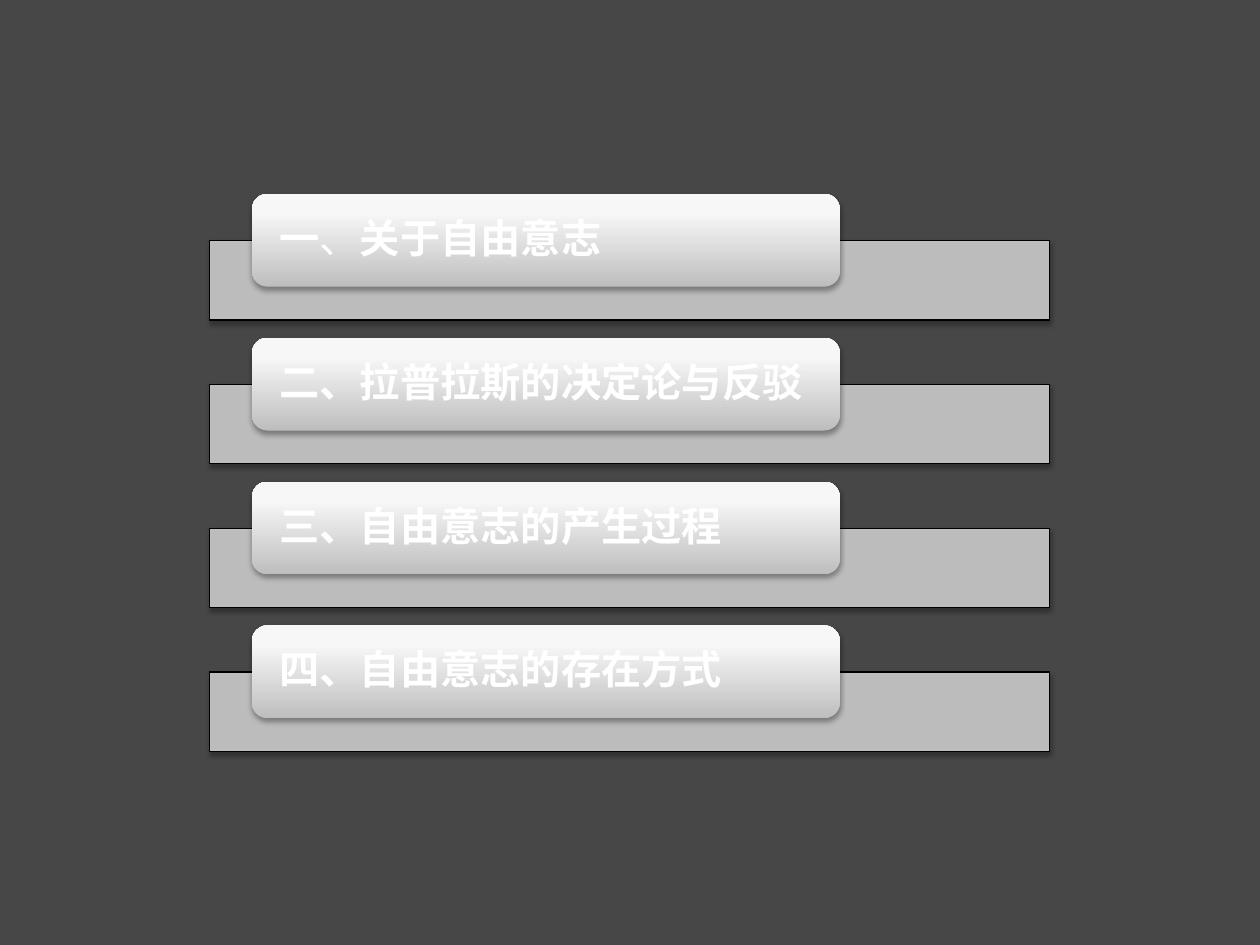
"""Build a contents slide with four stacked topic bars."""
from lxml import etree
from pptx import Presentation, util as u
from pptx.dml.color import RGBColor
from pptx.enum import shapes, text
from pptx.oxml import parse_xml
from pptx.oxml.ns import qn

TOPICS = [
    [("一", True), ("、", False), ("关于自由意志", True)],
    [("二、拉普拉斯的决定论与反驳", True)],
    [("三、自由意志的产生过程", True)],
    [("四、自由意志的存在方式", True)],
]

THEME = {
    "background": "474747",
    "bar": "CCCCCC",
    "bar_alpha": 90,
    "outline": "000000",
    "pill": [(0, "BEBEBE"), (80, "F7F7F7"), (100, "F8F8F8")],
    "shadow": "000000",
    "shadow_alpha": 35,
    "text": "FFFFFF",
    "font": "Noto Sans CJK KR",
    "size": 23,
}

STEP = 2.9
BAR = (4.23, 4.85, 16.93, 1.6)
PILL = (5.08, 3.91, 11.85, 1.87)
LABEL = (5.18, 4.0, 11.66, 1.69)
DRAWING = "http://schemas.openxmlformats.org/drawingml/2006/main"


def place(box, row):
    left, top, width, height = box
    return [u.Cm(length) for length in (left, top + row * STEP, width, height)]


def add_alpha(color, percent):
    etree.SubElement(color, qn("a:alpha"), val=str(percent * 1000))


def cast_shadow(panel):
    panel.shadow.inherit = False
    effects = panel._element.spPr.find(qn("a:effectLst"))
    shadow = etree.SubElement(
        effects, qn("a:outerShdw"), blurRad=str(u.Pt(3.1)), dist=str(u.Pt(1.8)),
        dir="5400000", rotWithShape="0")
    color = etree.SubElement(shadow, qn("a:srgbClr"), val=THEME["shadow"])
    add_alpha(color, THEME["shadow_alpha"])


def add_bar(slide, row):
    bar = slide.shapes.add_shape(shapes.MSO_SHAPE.RECTANGLE, *place(BAR, row))
    bar.fill.solid()
    bar.fill.fore_color.rgb = RGBColor.from_string(THEME["bar"])
    add_alpha(bar._element.spPr.find(qn("a:solidFill"))[0], THEME["bar_alpha"])
    bar.line.color.rgb = RGBColor.from_string(THEME["outline"])
    bar.line.width = u.Pt(0.75)
    cast_shadow(bar)


def add_pill(slide, row):
    pill = slide.shapes.add_shape(shapes.MSO_SHAPE.ROUNDED_RECTANGLE, *place(PILL, row))
    pill.line.fill.background()
    stops = "".join(
        f'<a:gs pos="{position * 1000}"><a:srgbClr val="{color}"/></a:gs>'
        for position, color in THEME["pill"])
    gradient = parse_xml(
        f'<a:gradFill xmlns:a="{DRAWING}" rotWithShape="1"><a:gsLst>{stops}</a:gsLst>'
        '<a:lin ang="16200000" scaled="0"/></a:gradFill>')
    pill._element.spPr.find(qn("a:prstGeom")).addnext(gradient)
    cast_shadow(pill)


def add_label(slide, row, topic):
    frame = slide.shapes.add_textbox(*place(LABEL, row)).text_frame
    frame.word_wrap = True
    frame.vertical_anchor = text.MSO_ANCHOR.MIDDLE
    frame.margin_left = frame.margin_right = u.Cm(0.45)
    frame.margin_top = frame.margin_bottom = 0
    paragraph = frame.paragraphs[0]
    paragraph.line_spacing = 0.9
    for words, bold in topic:
        run = paragraph.add_run()
        run.text = words
        run.font.size = u.Pt(THEME["size"])
        run.font.bold = bold
        run.font.name = THEME["font"]
        run.font.color.rgb = RGBColor.from_string(THEME["text"])
        etree.SubElement(run._r.get_or_add_rPr(), qn("a:ea"), typeface=THEME["font"])


def main():
    deck = Presentation()
    deck.slide_width, deck.slide_height = u.Cm(25.4), u.Cm(19.05)
    slide = deck.slides.add_slide(deck.slide_layouts[6])
    slide.background.fill.solid()
    slide.background.fill.fore_color.rgb = RGBColor.from_string(THEME["background"])
    for row, topic in enumerate(TOPICS):
        add_bar(slide, row)
        add_pill(slide, row)
        add_label(slide, row, topic)
    deck.save("out.pptx")


if __name__ == "__main__":
    main()
